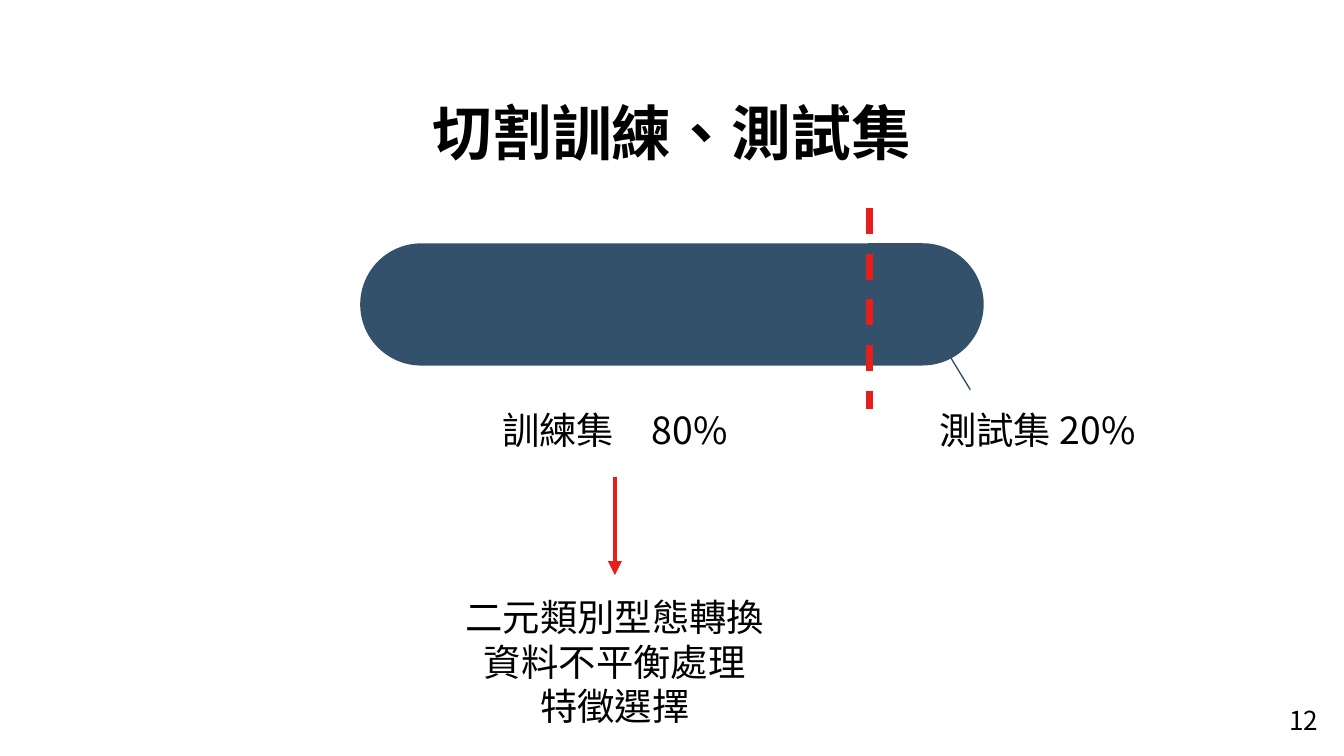
from math import cos, pi, sin

from lxml import etree
from pptx import Presentation
from pptx.dml.color import RGBColor
from pptx.enum.dml import MSO_LINE
from pptx.enum.shapes import MSO_CONNECTOR, MSO_SHAPE
from pptx.enum.text import MSO_ANCHOR, PP_ALIGN
from pptx.oxml.ns import qn
from pptx.util import Inches, Pt

FONT = "Noto Sans CJK JP"
NAVY, RED, BLACK = "34516C", "E71F1C", "000000"


def rgb(value):
    return RGBColor.from_string(value)


def write(sp, *lines, size=20, bold=False, align=PP_ALIGN.CENTER, color=BLACK):
    tf = sp.text_frame
    tf.word_wrap = True
    tf.vertical_anchor = MSO_ANCHOR.TOP
    tf.margin_left = tf.margin_right = Inches(0.1)
    tf.margin_top = tf.margin_bottom = Inches(0.05)
    for i, line in enumerate(lines):
        p = tf.paragraphs[0] if i == 0 else tf.add_paragraph()
        p.alignment = align
        p.line_spacing = Pt(size * 1.2)
        p.space_before = Pt(0)
        r = p.add_run()
        r.text = line
        r.font.name, r.font.size, r.font.bold = FONT, Pt(size), bold
        r.font.color.rgb = rgb(color)
        r.font._element.set("lang", "zh-TW")
        etree.SubElement(r.font._element, qn("a:ea"), typeface=FONT)


def add_text(s, x, y, w, h, *lines, **fmt):
    sp = s.shapes.add_textbox(Inches(x), Inches(y), Inches(w), Inches(h))
    write(sp, *lines, **fmt)


def add_line(s, x1, y1, x2, y2, color, width, dash=None, arrow=False):
    cx = s.shapes.add_connector(MSO_CONNECTOR.STRAIGHT, Inches(x1), Inches(y1),
                                Inches(x2), Inches(y2))
    cx.line.color.rgb = rgb(color)
    cx.line.width = Pt(width)
    if dash:
        cx.line.dash_style = dash
    if arrow:
        etree.SubElement(cx.line._get_or_add_ln(), qn("a:tailEnd"), type="triangle")
    etree.SubElement(cx._element.spPr, qn("a:effectLst"))


def paint(sp, color):
    sp.shadow.inherit = False
    sp.fill.solid()
    sp.fill.fore_color.rgb = rgb(color)
    sp.line.fill.background()


def add_left_part(s, x, y, w, h):
    sp = s.shapes.add_shape(MSO_SHAPE.ROUND_2_SAME_RECTANGLE,
                            Inches(x + (w - h) / 2), Inches(y + (h - w) / 2),
                            Inches(h), Inches(w))
    sp.rotation = 270
    sp.adjustments[0], sp.adjustments[1] = 0.5, 0
    paint(sp, NAVY)


def add_right_part(s, x, y, w, h):
    radius, steps = h / 2, 48
    angles = [pi * (i / steps - 0.5) for i in range(steps + 1)]
    arc = [(x + w - radius + radius * cos(a), y + radius + radius * sin(a))
           for a in angles]
    fb = s.shapes.build_freeform(Inches(x), Inches(y), scale=1.0)
    fb.add_line_segments([(Inches(px), Inches(py)) for px, py in arc + [(x, y + h)]])
    paint(fb.convert_to_shape(), NAVY)


def add_title(s, x, y, w, h, text):
    sp = s.shapes.title
    sp.left, sp.top, sp.width, sp.height = map(Inches, (x, y, w, h))
    write(sp, text, size=32, bold=True)


def add_split_bar(s, x, y, w, h, split):
    cut = x + split
    add_right_part(s, cut - 0.01, y, w - split + 0.01, h)
    add_left_part(s, x, y, split, h)
    add_line(s, cut, y - 0.26, cut, y + 1.23, RED, 3.5, dash=MSO_LINE.DASH)


def add_training(s, x, y, w):
    center = x + w / 2
    add_text(s, x, y, w, 0.44, "訓練集　80%")
    add_line(s, center, y + 0.57, center, y + 1.3, RED, 2.5, arrow=True)
    add_text(s, x, y + 1.39, w, 1.11, "二元類別型態轉換", "資料不平衡處理", "特徵選擇")


def add_testing(s, x, y, w):
    add_text(s, x, y, w, 0.44, "測試集 20%", align=PP_ALIGN.LEFT)
    add_line(s, x, y - 0.62, x + 0.33, y - 0.08, NAVY, 0.75)


def main():
    prs = Presentation()
    prs.slide_width, prs.slide_height = Inches(10), Inches(10 * 9 / 16)
    s = prs.slides.add_slide(prs.slide_layouts[5])
    add_title(s, 0, 0.66, 10, 0.64, "切割訓練、測試集")
    add_split_bar(s, 2.68, 1.81, 4.64, 0.91, split=3.79)
    add_training(s, 2.68, 2.98, 3.79)
    add_testing(s, 6.89, 2.98, 1.86)
    add_text(s, 9.4, 5.19, 0.6, 0.43, "12", size=14)
    prs.save("out.pptx")


if __name__ == "__main__":
    main()
